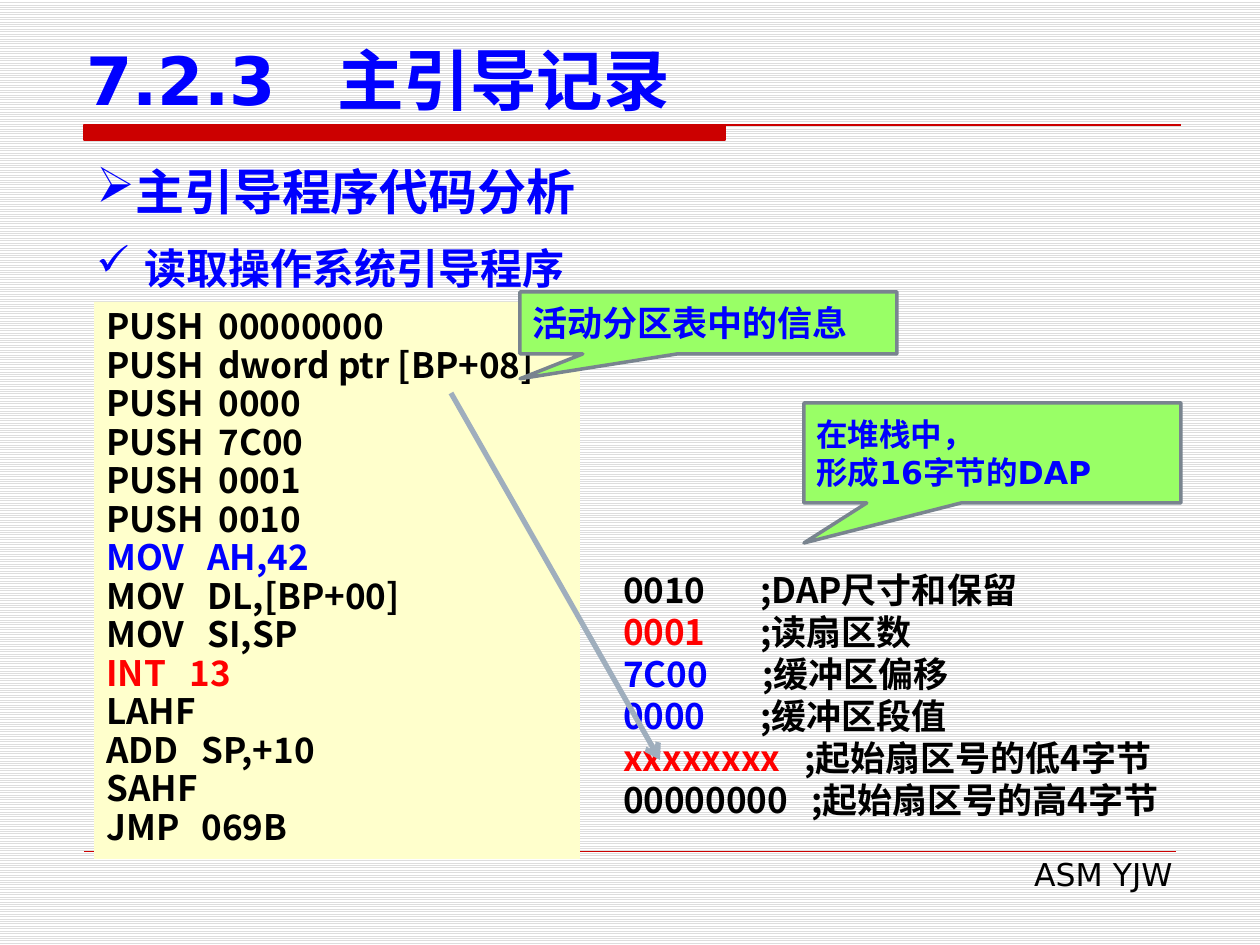
from lxml.etree import SubElement
from pptx import Presentation
from pptx.dml.color import RGBColor
from pptx.enum.dml import MSO_PATTERN
from pptx.enum.shapes import MSO_CONNECTOR, MSO_SHAPE
from pptx.enum.text import MSO_ANCHOR, PP_ALIGN
from pptx.oxml.ns import qn
from pptx.util import Pt

PX = 914400 / 126
SANS, CJK = "DejaVu Sans", "Noto Sans CJK SC"

BLACK = RGBColor(0x00, 0x00, 0x00)
WHITE = RGBColor(0xFF, 0xFF, 0xFF)
STRIPE = RGBColor(0xDD, 0xDD, 0xDD)
BLUE = RGBColor(0x00, 0x00, 0xFF)
RED = RGBColor(0xFF, 0x00, 0x00)
RULE_RED = RGBColor(0xCC, 0x00, 0x00)
CREAM = RGBColor(0xFF, 0xFF, 0xCC)
GREEN = RGBColor(0x99, 0xFF, 0x66)
CALLOUT_EDGE = RGBColor(0x79, 0x84, 0x8F)
ARROW_GREY = RGBColor(0x9F, 0xAE, 0xBD)

CODE_TABS = {"PUSH": 112, "MOV": 101, "INT": 83, "ADD": 95, "JMP": 95}
CODE = [
    ("PUSH\t00000000", BLACK),
    ("PUSH\tdword ptr [BP+08]", BLACK),
    ("PUSH\t0000", BLACK),
    ("PUSH\t7C00", BLACK),
    ("PUSH\t0001", BLACK),
    ("PUSH\t0010", BLACK),
    ("MOV\tAH,42", BLUE),
    ("MOV\tDL,[BP+00]", BLACK),
    ("MOV\tSI,SP", BLACK),
    ("INT\t13", RED),
    ("LAHF", BLACK),
    ("ADD\tSP,+10", BLACK),
    ("SAHF", BLACK),
    ("JMP\t069B", BLACK),
]
PACKET = [
    ("0010", BLACK, ";DAP尺寸和保留", 137),
    ("0001", RED, ";读扇区数", 137),
    ("7C00", BLUE, ";缓冲区偏移", 139),
    ("0000", BLUE, ";缓冲区段值", 137),
    ("xxxxxxxx", RED, ";起始扇区号的低4字节", 181),
    ("00000000", BLACK, ";起始扇区号的高4字节", 188),
]


def px(*lengths):
    """Turn pixel lengths into EMU."""
    return [round(length * PX) for length in lengths]


def apply_format(target, values):
    """Set each named attribute on the target."""
    for name, value in values.items():
        setattr(target, name, value)


def write_runs(paragraph, runs, size, font, bold=True):
    """Add coloured runs in one font to a paragraph."""
    for text, color in runs:
        run = paragraph.add_run()
        run.text = text
        apply_format(run.font, {"size": Pt(size), "name": font, "bold": bold})
        run.font.color.rgb = color
        SubElement(run.font._element, qn("a:ea"), typeface=CJK)


def add_bullet(paragraph, character, hang=0):
    """Give a paragraph a bullet with a hanging indent."""
    properties = paragraph._p.get_or_add_pPr()
    (indent,) = px(hang)
    properties.set("marL", str(indent))
    properties.set("indent", str(-indent))
    SubElement(properties, qn("a:buChar"), char=character)


def add_tab(paragraph, position):
    """Give a paragraph one left tab stop."""
    tabs = SubElement(paragraph._p.get_or_add_pPr(), qn("a:tabLst"))
    SubElement(tabs, qn("a:tab"), pos=str(px(position)[0]), algn="l")


def fill_text(shape, lines, size, font, tabs=(), bold=True, paragraph_format=None, **frame_format):
    """Write one paragraph per line of runs and return the paragraphs."""
    frame = shape.text_frame
    apply_format(frame, {"word_wrap": True, "vertical_anchor": MSO_ANCHOR.TOP} | frame_format)
    paragraphs = [frame.paragraphs[0]] + [frame.add_paragraph() for _ in lines[1:]]
    for paragraph, runs in zip(paragraphs, lines):
        apply_format(paragraph, {"alignment": PP_ALIGN.LEFT} | (paragraph_format or {}))
        write_runs(paragraph, runs, size, font, bold)
    for paragraph, position in zip(paragraphs, tabs):
        if position:
            add_tab(paragraph, position)
    return paragraphs


def add_text(slide, box, *args, **options):
    """Add a text box and return its paragraphs."""
    return fill_text(slide.shapes.add_textbox(*px(*box)), *args, **options)


def add_panel(slide, kind, box, fill):
    """Add a flat filled shape without an outline."""
    shape = slide.shapes.add_shape(kind, *px(*box))
    shape.shadow.inherit = False
    shape.fill.solid()
    shape.fill.fore_color.rgb = fill
    shape.line.fill.background()
    return shape


def add_callout(slide, box, texts, size):
    """Add a green callout that points down to the left."""
    shape = add_panel(slide, MSO_SHAPE.RECTANGULAR_CALLOUT, box, GREEN)
    shape.adjustments[0], shape.adjustments[1] = -0.5, 0.9
    shape.line.color.rgb = CALLOUT_EDGE
    shape.line.width = Pt(2)
    lines = [[(text, BLUE)] for text in texts]
    fill_text(shape, lines, size, SANS, vertical_anchor=MSO_ANCHOR.MIDDLE)


def add_line(slide, ends, color, width, arrow=False):
    """Add a straight line, with an arrowhead at its end if asked."""
    connector = slide.shapes.add_connector(MSO_CONNECTOR.STRAIGHT, *px(*ends))
    connector.line.color.rgb = color
    connector.line.width = Pt(width)
    if arrow:
        SubElement(connector.line._get_or_add_ln(), qn("a:tailEnd"), type="arrow")
    SubElement(connector._element.spPr, qn("a:effectLst"))


def add_title_rule(slide):
    """Draw the thick bar and thin rule under the title."""
    builder = slide.shapes.build_freeform(84, 125, scale=PX)
    builder.add_line_segments([(725, 125), (725, 140), (84, 140)], close=True)
    builder.move_to(84, 125)
    builder.add_line_segments([(1181, 125)], close=False)
    shape = builder.convert_to_shape()
    shape.shadow.inherit = False
    shape.fill.solid()
    shape.fill.fore_color.rgb = RULE_RED
    shape.line.color.rgb = RULE_RED
    shape.line.width = Pt(0.75)


def paint_background(slide):
    """Fill the background with light horizontal stripes."""
    fill = slide.background.fill
    fill.patterned()
    fill.pattern = MSO_PATTERN.LIGHT_HORIZONTAL
    fill.fore_color.rgb = STRIPE
    fill.back_color.rgb = WHITE


def add_headings(slide):
    """Add the title, the two bullet headings and the footer."""
    add_text(slide, (74, 35, 1142, 90), [[("7.2.3\t主引导记录", BLUE)]], 38, SANS,
             tabs=[251], vertical_anchor=MSO_ANCHOR.BOTTOM)
    (section,) = add_text(slide, (84, 155, 1091, 72), [[("主引导程序代码分析", BLUE)]], 28, SANS,
                          paragraph_format={"alignment": PP_ALIGN.JUSTIFY})
    add_bullet(section, "➢")
    (step,) = add_text(slide, (84, 224, 1091, 68), [[("读取操作系统引导程序", BLUE)]], 24, CJK,
                       paragraph_format={"line_spacing": Pt(36)})
    add_bullet(step, "✓", 48)
    add_text(slide, (481, 849, 704, 50), [[("ASM YJW", BLACK)]], 18, SANS, bold=False,
             paragraph_format={"alignment": PP_ALIGN.RIGHT})


def add_listings(slide):
    """Add the code panel and the packet fields."""
    panel = add_panel(slide, MSO_SHAPE.RECTANGLE, (94, 302, 486, 557), CREAM)
    fill_text(panel, [[line] for line in CODE], 20, CJK,
              tabs=[CODE_TABS.get(text.split("\t")[0]) for text, _ in CODE],
              paragraph_format={"line_spacing": Pt(22)})
    fields = [[(value, color), ("\t" + note, BLACK)] for value, color, note, _ in PACKET]
    add_text(slide, (581, 562, 735, 267), fields, 20, CJK,
             tabs=[tab for *_, tab in PACKET], margin_left=px(42)[0])


def main():
    """Build the slide and save it."""
    presentation = Presentation()
    presentation.slide_width, presentation.slide_height = px(1260, 945)
    slide = presentation.slides.add_slide(presentation.slide_layouts[6])
    paint_background(slide)
    add_title_rule(slide)
    add_line(slide, (84, 851, 1176, 851), RULE_RED, 0.25)
    add_headings(slide)
    add_listings(slide)
    add_callout(slide, (804, 403, 377, 100), ["在堆栈中，", "形成16字节的DAP"], 18)
    add_line(slide, (451, 393, 660, 760), ARROW_GREY, 3, arrow=True)
    add_callout(slide, (520, 292, 377, 62), ["活动分区表中的信息"], 20)
    presentation.save("out.pptx")


if __name__ == "__main__":
    main()
